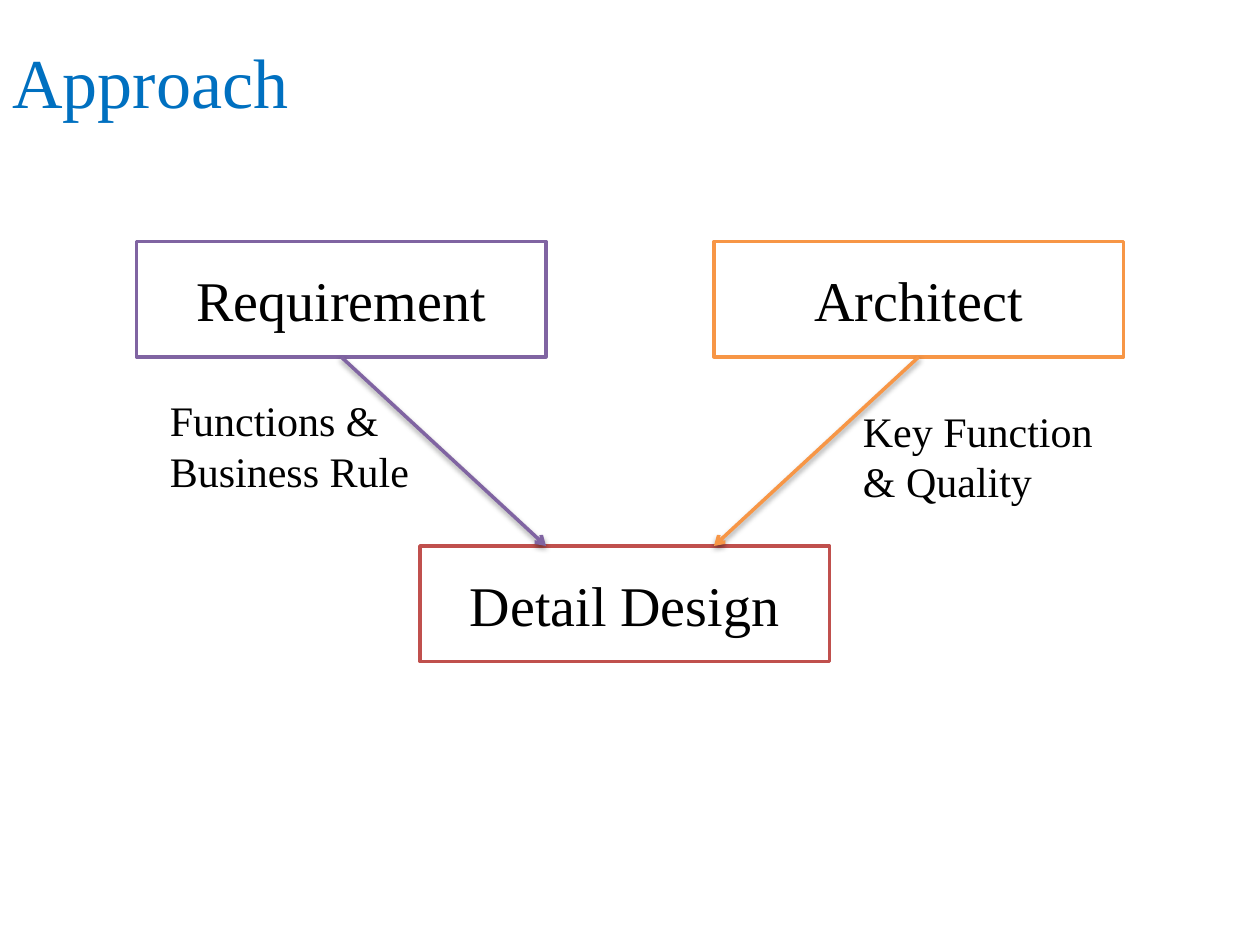
from lxml import etree
from pptx import Presentation
from pptx.dml.color import RGBColor
from pptx.enum.shapes import MSO_CONNECTOR, MSO_SHAPE
from pptx.enum.text import MSO_ANCHOR, PP_ALIGN
from pptx.oxml.ns import qn
from pptx.util import Pt

RECTANGLE = MSO_SHAPE.RECTANGLE
STRAIGHT = MSO_CONNECTOR.STRAIGHT
MIDDLE, TOP = MSO_ANCHOR.MIDDLE, MSO_ANCHOR.TOP
LEFT, CENTER = PP_ALIGN.LEFT, PP_ALIGN.CENTER
BOTTOM_SITE = 2

FONT = "Times New Roman"
BLACK, WHITE, BLUE = "000000", "FFFFFF", "0070C0"
PURPLE, ORANGE, RED = "8064A2", "F79646", "C0504D"
BOX_WIDTH, BOX_HEIGHT = 234, 66
INPUT_TOP, DESIGN_TOP = 138, 312


def color(value):
    return RGBColor.from_string(value)


def write(shape, text, size, ink=BLACK, anchor=MIDDLE, align=LEFT):
    frame = shape.text_frame
    frame.word_wrap = True
    frame.vertical_anchor = anchor
    frame.text = text
    para = frame.paragraphs[0]
    para.alignment = align
    font = para.runs[0].font
    font.name, font.size = FONT, Pt(size)
    font.color.rgb = color(ink)


def add_label(page, left, top, width, height, text, size, **style):
    label = page.shapes.add_textbox(Pt(left), Pt(top), Pt(width), Pt(height))
    write(label, text, size, **style)


def add_box(page, left, top, text, outline):
    box = page.shapes.add_shape(
        RECTANGLE, Pt(left), Pt(top), Pt(BOX_WIDTH), Pt(BOX_HEIGHT))
    box.shadow.inherit = False
    box.fill.solid()
    box.fill.fore_color.rgb = color(WHITE)
    box.line.color.rgb = color(outline)
    box.line.width = Pt(2)
    write(box, text, 32, align=CENTER)
    return box


def add_arrow(page, source, end_x, end_y, stroke):
    """Arrow from the bottom of source; it keeps the theme's soft shadow."""
    arrow = page.shapes.add_connector(STRAIGHT, 0, 0, Pt(end_x), Pt(end_y))
    arrow.begin_connect(source, BOTTOM_SITE)
    arrow.line.color.rgb = color(stroke)
    arrow.line.width = Pt(2)
    outline = arrow._element.spPr.find(qn("a:ln"))
    etree.SubElement(outline, qn("a:tailEnd"), type="arrow")


def add_diagram(page, left, right):
    """Two inputs at the outer edges lead down to the detail design."""
    architect_left = right - BOX_WIDTH
    requirement_right = left + BOX_WIDTH
    design_left = (left + right - BOX_WIDTH) / 2 - 3
    add_box(page, design_left, DESIGN_TOP, "Detail Design", RED)
    architect = add_box(page, architect_left, INPUT_TOP, "Architect", ORANGE)
    requirement = add_box(page, left, INPUT_TOP, "Requirement", PURPLE)
    add_arrow(page, requirement, requirement_right, DESIGN_TOP, PURPLE)
    add_arrow(page, architect, architect_left, DESIGN_TOP, ORANGE)
    for label_left, label_top, text in (
            (left + 12, 222, "Functions & Business Rule"),
            (right - 156, 228, "Key Function & Quality")):
        add_label(page, label_left, label_top, 156, 65.5, text, 24, anchor=TOP)


def main():
    deck = Presentation()
    deck.slide_width, deck.slide_height = Pt(720), Pt(540)
    page = deck.slides.add_slide(deck.slide_layouts[6])
    add_label(page, 0, 0.75, 648, 90, "Approach", 40, ink=BLUE)
    add_diagram(page, 78, 642)
    deck.save("out.pptx")


if __name__ == "__main__":
    main()
